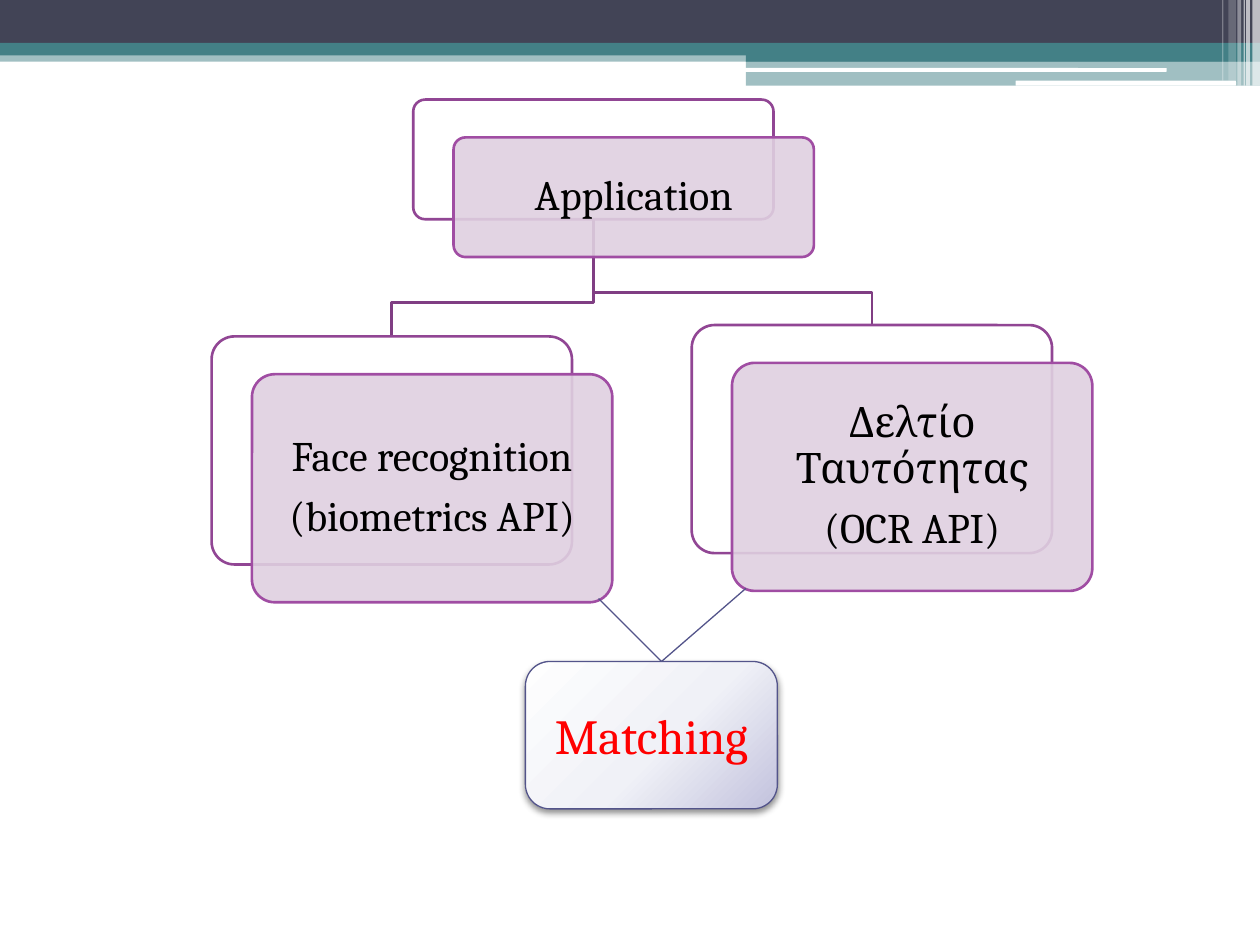
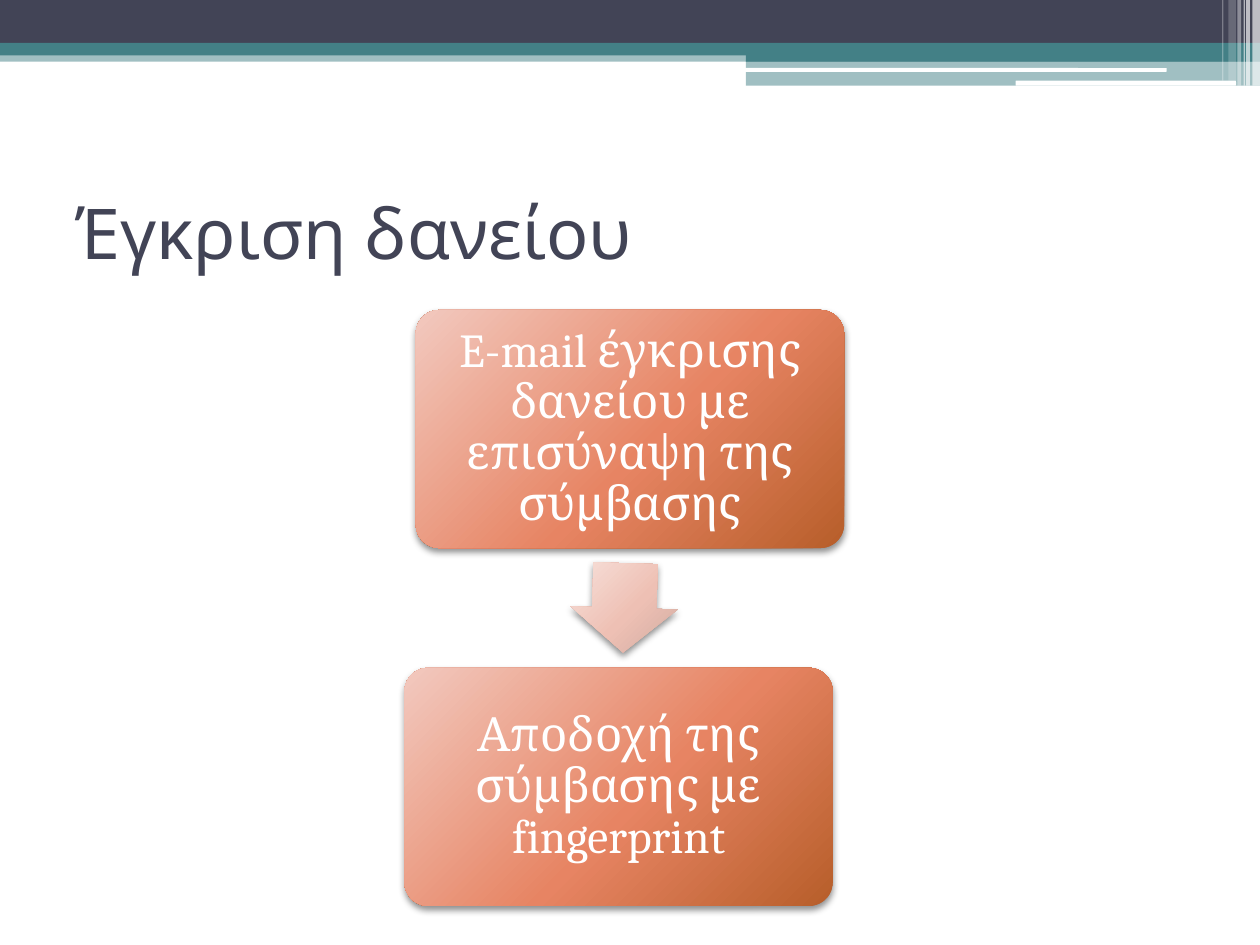
import pptx
import pptx.util
import pptx.dml.color
import pptx.enum.shapes
import pptx.enum.text
import pptx.oxml
from pptx.oxml.ns import nsdecls, qn
from pptx.util import Inches

RGB = pptx.dml.color.RGBColor
SHAPE = pptx.enum.shapes.MSO_SHAPE
ALIGN = pptx.enum.text.PP_ALIGN
MIDDLE = pptx.enum.text.MSO_ANCHOR.MIDDLE

WHITE = RGB(0xFF, 0xFF, 0xFF)
BLACK = RGB(0, 0, 0)
RED = RGB(0xFF, 0, 0)
SLATE = RGB(0x42, 0x44, 0x56)
TEAL = RGB(0x43, 0x80, 0x86)
LILAC = RGB(0xDF, 0xD0, 0xE0)
PURPLE = RGB(0xA0, 0x4D, 0xA3)
PLUM = RGB(0x91, 0x46, 0x94)
DARK_PLUM = RGB(0x80, 0x3E, 0x83)
INDIGO = RGB(0x53, 0x54, 0x8A)
PALE_INDIGO = [RGB(0xFE, 0xFE, 0xFE), RGB(0xF0, 0xF1, 0xF7), RGB(0xC2, 0xC2, 0xDD)]
ORANGE = [RGB(0xF2, 0xC9, 0xBF), RGB(0xE7, 0x84, 0x63), RGB(0xB7, 0x5E, 0x2A)]
PALE_ORANGE = [RGB(0xF7, 0xE1, 0xDB), RGB(0xEE, 0xC0, 0xB4), RGB(0xCF, 0xAB, 0xA1)]
SERIF, SANS = "Cambria", "Noto Sans"


def add_box(s, kind, at, fill, alpha=100, line=None, weight=1.5, adj=()):
    """Add a preset shape; a list as fill gives a glossy gradient with a shadow."""
    sp = s.shapes.add_shape(kind, *[Inches(v) for v in at])
    sp.shadow.inherit = False
    for i, value in enumerate(adj):
        sp.adjustments[i] = value
    if line is None:
        sp.line.fill.background()
    else:
        sp.line.color.rgb = line
        sp.line.width = pptx.util.Pt(weight)
    props = sp._element.spPr
    if isinstance(fill, list):
        sp.fill.gradient()
        stops = "".join(f'<a:gs pos="{pos}000"><a:srgbClr val="{c}"/></a:gs>'
                        for pos, c in zip((0, 55, 100), fill))
        props.replace(props.find(qn("a:gradFill")), pptx.oxml.parse_xml(
            f'<a:gradFill {nsdecls("a")} rotWithShape="1"><a:gsLst>{stops}</a:gsLst>'
            '<a:path path="circle"><a:fillToRect l="-40000" t="-90000" '
            'r="140000" b="190000"/></a:path></a:gradFill>'))
        props.find(qn("a:effectLst")).append(pptx.oxml.parse_xml(
            f'<a:outerShdw {nsdecls("a")} blurRad="50800" dist="25400" dir="5400000" '
            'rotWithShape="0"><a:srgbClr val="000000"><a:alpha val="43000"/>'
            '</a:srgbClr></a:outerShdw>'))
    else:
        sp.fill.solid()
        sp.fill.fore_color.rgb = fill
        if alpha < 100:
            color = props.find(qn("a:solidFill")).find(qn("a:srgbClr"))
            color.append(pptx.oxml.parse_xml(
                f'<a:alpha {nsdecls("a")} val="{alpha}000"/>'))
    return sp


def write_text(sp, lines, size, color, inset=0.1, spacing=0.9, after=0.35):
    """Write centred paragraphs in the middle of a shape."""
    tf = sp.text_frame
    tf.word_wrap = True
    tf.vertical_anchor = MIDDLE
    tf.margin_left = tf.margin_right = Inches(inset)
    tf.margin_top = tf.margin_bottom = Inches(inset)
    for i, line in enumerate(lines):
        p = tf.add_paragraph() if i else tf.paragraphs[0]
        p.text = line
        p.alignment = ALIGN.CENTER
        p.line_spacing = spacing
        p.space_after = pptx.util.Pt(size * after)
        p.font.name = SERIF
        p.font.size = pptx.util.Pt(size)
        p.font.color.rgb = color


prs = pptx.Presentation()
prs.slide_width = Inches(10)
prs.slide_height = Inches(7.5)
s = prs.slides.add_slide(prs.slide_layouts[6])

# Header bands, moved to the master so that every slide shows them
bands = [
    (SHAPE.RECTANGLE, (0, 0.4, 10, 0.09), TEAL, 50),
    (SHAPE.RECTANGLE, (0, 0, 10, 0.34), SLATE, 100),
    (SHAPE.RECTANGLE, (0, 0.34, 10, 0.1), TEAL, 100),
    (SHAPE.RECTANGLE, (5.92, 0.39, 4.08, 0.1), TEAL, 100),
    (SHAPE.RECTANGLE, (5.92, 0.48, 4.08, 0.2), TEAL, 50),
    (SHAPE.ROUNDED_RECTANGLE, (5.91, 0.54, 3.35, 0.03), WHITE, 100),
    (SHAPE.ROUNDED_RECTANGLE, (8.06, 0.64, 1.75, 0.04), WHITE, 100),
]
for x, w, h, alpha in [(9.94, 0.06, 0.68, 65), (9.89, 0.03, 0.68, 65),
                       (9.87, 0.01, 0.68, 60), (9.82, 0.03, 0.68, 40),
                       (9.75, 0.06, 0.64, 20), (9.7, 0.01, 0.64, 30)]:
    bands.append((SHAPE.RECTANGLE, (x, 0, w, h), WHITE, alpha))
for kind, at, fill, alpha in bands:
    sp = add_box(s, kind, at, fill, alpha)
    prs.slide_master.shapes._spTree.append(sp._element)

# Slide 1: elbow lines from the application to its two services
for x, bend, y in [(6.92, 2.32, 2.58), (3.11, 2.4, 2.67)]:
    elbow = s.shapes.build_freeform(Inches(4.71), Inches(1.74))
    elbow.add_line_segments([(Inches(a), Inches(b)) for a, b in
                             [(4.71, bend), (x, bend), (x, y)]], close=False)
    sp = elbow.convert_to_shape()
    sp.shadow.inherit = False
    sp.fill.background()
    sp.line.color.rgb = DARK_PLUM
    sp.line.width = pptx.util.Pt(1.5)

# Cards: a white back plate and a lilac front plate
for x, y, h, lines in [
        (3.28, 0.79, 0.95, ["Application"]),
        (1.68, 2.67, 1.81, ["Face recognition", "(biometrics API)"]),
        (5.49, 2.58, 1.81, ["Δελτίο Ταυτότητας", "(OCR API)"])]:
    add_box(s, SHAPE.ROUNDED_RECTANGLE, (x, y, 2.86, h), WHITE, line=PLUM, adj=[0.1])
    sp = add_box(s, SHAPE.ROUNDED_RECTANGLE, (x + 0.32, y + 0.3, 2.86, h),
                 LILAC, 90, PURPLE, adj=[0.1])
    write_text(sp, lines, 24, BLACK)

# Both services lead to the matching step
for x, y in [(4.75, 4.75), (5.92, 4.67)]:
    line = s.shapes.add_connector(pptx.enum.shapes.MSO_CONNECTOR.STRAIGHT,
                                  Inches(x), Inches(y), Inches(5.25), Inches(5.25))
    line.line.color.rgb = INDIGO
    line.line.width = pptx.util.Pt(0.75)
    line._element.spPr.append(pptx.oxml.parse_xml(f'<a:effectLst {nsdecls("a")}/>'))
sp = add_box(s, SHAPE.FLOWCHART_ALTERNATE_PROCESS, (4.17, 5.25, 2, 1.17),
             PALE_INDIGO, line=INDIGO, weight=0.75)
write_text(sp, ["Matching"], 28, RED, spacing=1.0, after=0)

# Slide 2: title
s = prs.slides.add_slide(prs.slide_layouts[5])
title = s.shapes.title
title.left, title.top = Inches(0.5), Inches(1.25)
title.width, title.height = Inches(9), Inches(1.17)
title.text_frame.vertical_anchor = MIDDLE
p = title.text_frame.paragraphs[0]
p.text = "Έγκριση δανείου"
p.alignment = ALIGN.LEFT
p.font.name = SANS
p.font.size = pptx.util.Pt(40)
p.font.color.rgb = SLATE

# Two steps joined by an arrow
for x, y, text in [
        (3.3, 2.46, "E-mail έγκρισης δανείου με επισύναψη της σύμβασης"),
        (3.21, 5.3, "Αποδοχή της σύμβασης με fingerprint")]:
    sp = add_box(s, SHAPE.ROUNDED_RECTANGLE, (x, y, 3.4, 1.89), ORANGE, adj=[0.1])
    write_text(sp, [text], 27, WHITE, inset=0.11)
arrow = add_box(s, SHAPE.RIGHT_ARROW, (4.6, 4.4, 0.71, 0.85), PALE_ORANGE, adj=[0.6, 0.5])
arrow.rotation = 91.7

prs.save("out.pptx")
